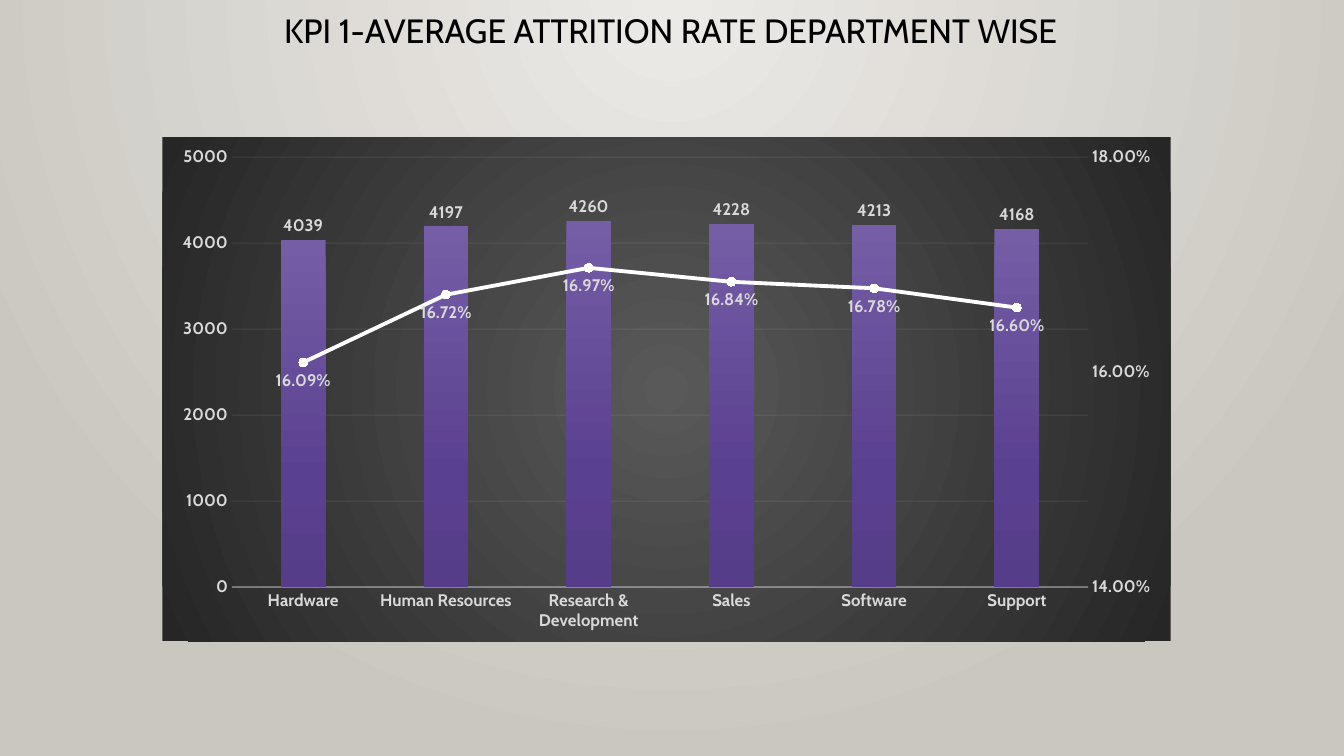
from copy import deepcopy
from dataclasses import dataclass
from pptx import Presentation
from pptx.chart.axis import ValueAxis
from pptx.chart.data import CategoryChartData
from pptx.dml.color import RGBColor
from pptx.enum.chart import XL_CHART_TYPE, XL_LABEL_POSITION, XL_MARKER_STYLE, XL_TICK_MARK
from pptx.enum.text import MSO_ANCHOR, MSO_AUTO_SIZE, PP_ALIGN
from pptx.oxml import parse_xml
from pptx.oxml.ns import nsdecls, qn
from pptx.util import Inches, Pt


@dataclass(frozen=True)
class Theme:
    face: str = "Cabin"
    ink: str = "000000"
    pale: str = "D9D9D9"
    rule: str = "F2F2F2"
    line: str = "FFFFFF"
    page: tuple = ((0, "ECEAE7"), (100, "CAC7C1"))
    panel: tuple = ((0, "595959"), (100, "262626"))
    bar: tuple = ((0, "755EA6"), (69, "5A4090"), (100, "563D89"))
    head: int = 24
    base: int = 10
    label: int = 12


THEME = Theme()
RADIAL = '<a:path path="circle"><a:fillToRect l="{}" t="{}" r="{}" b="{}"/></a:path>'
DOWN = '<a:lin ang="5400000" scaled="0"/>'
DEPTS = ("Hardware", "Human Resources", "Research & Development",
         "Sales", "Software", "Support")
STAFF = (4039, 4197, 4260, 4228, 4213, 4168)
RATES = (0.1609, 0.1672, 0.1697, 0.1684, 0.1678, 0.166)


def style(font, size, color, bold=False):
    font.name = THEME.face
    font.size = Pt(size)
    font.bold = bold
    font.color.rgb = RGBColor.from_string(color)


def write(frame, text, size=THEME.head, color=THEME.ink, align=PP_ALIGN.CENTER, space=0.9):
    para = frame.paragraphs[0]
    para.alignment = align
    para.line_spacing = space
    run = para.add_run()
    run.text = text
    style(run.font, size, color)


def radial(*sides):
    return RADIAL.format(*(side * 1000 for side in sides))


def blend(stops, way):
    marks = "".join(
        f'<a:gs pos="{pos * 1000}"><a:srgbClr val="{color}"/></a:gs>' for pos, color in stops)
    return parse_xml(
        f'<a:gradFill {nsdecls("a")} rotWithShape="1"><a:gsLst>{marks}</a:gsLst>{way}</a:gradFill>')


def swap(root, query, stops, way):
    solid = root.xpath(query)[0]
    solid.getparent().replace(solid, blend(stops, way))


def fade(root, query, alpha):
    color = root.xpath(query)[0]
    color.append(parse_xml(f'<a:alpha {nsdecls("a")} val="{alpha * 1000}"/>'))


def stroke(line, color, width):
    line.color.rgb = RGBColor.from_string(color)
    line.width = Pt(width)


def scale(axis, low, high, step):
    axis.minimum_scale, axis.maximum_scale, axis.major_unit = low, high, step


def tag(series, place, form):
    labels = series.data_labels
    labels.show_value = True
    labels.position = place
    labels.number_format = form
    labels.number_format_is_linked = False
    style(labels.font, THEME.label, THEME.pale, bold=True)


def format_axes(chart):
    cat, val = chart.category_axis, chart.value_axis
    for axis in (cat, val):
        axis.major_tick_mark = axis.minor_tick_mark = XL_TICK_MARK.NONE
        style(axis.tick_labels.font, THEME.label, THEME.pale, bold=True)
    stroke(cat.format.line, THEME.rule, 1)
    val.format.line.fill.background()
    val.has_major_gridlines = True
    stroke(val.major_gridlines.format.line, THEME.rule, 0.75)
    scale(val, 0, 5000, 1000)
    root = chart.element
    fade(root, ".//c:catAx/c:spPr//a:srgbClr", 54)
    fade(root, ".//c:majorGridlines//a:srgbClr", 10)


def split_rate(chart):
    area = chart.element.xpath(".//c:plotArea")[0]
    bars = area.find(qn("c:barChart"))
    rate = bars.findall(qn("c:ser"))[1]
    for flag in rate.findall(qn("c:invertIfNegative")):
        rate.remove(flag)
    plot = parse_xml(
        f'<c:lineChart {nsdecls("c")}><c:grouping val="standard"/><c:varyColors val="0"/>'
        '<c:marker val="1"/><c:axId val="501"/><c:axId val="502"/></c:lineChart>')
    plot.find(qn("c:varyColors")).addnext(rate)
    bars.addnext(plot)
    cat = deepcopy(area.find(qn("c:catAx")))
    val = deepcopy(area.find(qn("c:valAx")))
    area.find(qn("c:valAx")).addnext(val)
    val.addnext(cat)
    for axis, own, other in ((cat, "501", "502"), (val, "502", "501")):
        axis.find(qn("c:axId")).set("val", own)
        axis.find(qn("c:crossAx")).set("val", other)
    cat.find(qn("c:delete")).set("val", "1")
    val.find(qn("c:axPos")).set("val", "r")
    val.find(qn("c:crosses")).set("val", "max")
    right = ValueAxis(val)
    right.has_major_gridlines = False
    right.tick_labels.number_format = "0.00%"
    right.tick_labels.number_format_is_linked = False
    scale(right, 0.14, 0.18, 0.02)


def format_rate(rate):
    rate.smooth = False
    stroke(rate.format.line, THEME.line, 2.75)
    rate.marker.style = XL_MARKER_STYLE.CIRCLE
    rate.marker.size = 6
    rate.marker.format.fill.solid()
    rate.marker.format.fill.fore_color.rgb = RGBColor.from_string(THEME.line)
    stroke(rate.marker.format.line, THEME.line, 0.75)
    tag(rate, XL_LABEL_POSITION.BELOW, "0.00%")


def draw_chart(slide, box):
    data = CategoryChartData()
    data.categories = DEPTS
    data.add_series("Series 1", STAFF, "0")
    data.add_series("Series 2", RATES, "0.00%")
    chart = slide.shapes.add_chart(XL_CHART_TYPE.COLUMN_CLUSTERED, *box, data).chart
    chart.has_title = chart.has_legend = False
    style(chart.font, THEME.base, THEME.ink)
    panel = parse_xml(f'<c:spPr {nsdecls("c", "a")}><a:ln><a:noFill/></a:ln></c:spPr>')
    panel.insert(0, blend(THEME.panel, radial(50, 50, 50, 50)))
    chart.element.find(qn("c:chart")).addnext(panel)
    format_axes(chart)
    split_rate(chart)
    bars, line = chart.plots
    bars.gap_width, bars.overlap = 219, -27
    bars.vary_by_categories = False
    staff = bars.series[0]
    staff.format.fill.solid()
    staff.format.fill.fore_color.rgb = RGBColor.from_string(THEME.bar[0][1])
    swap(chart.element, ".//c:barChart/c:ser/c:spPr/a:solidFill", THEME.bar, DOWN)
    tag(staff, XL_LABEL_POSITION.OUTSIDE_END, "0")
    format_rate(line.series[0])


def draw_title(slide, box, text):
    title = slide.shapes.title
    title.left, title.top, title.width, title.height = box
    frame = title.text_frame
    frame.word_wrap = True
    frame.auto_size = MSO_AUTO_SIZE.NONE
    frame.vertical_anchor = MSO_ANCHOR.TOP
    write(frame, text)


def draw_page(slide):
    fill = slide.background.fill
    fill.solid()
    fill.fore_color.rgb = RGBColor.from_string(THEME.page[0][1])
    swap(slide.element, ".//p:bgPr/a:solidFill", THEME.page, radial(43, 0, 43, 100))


def inches(*sizes):
    return tuple(Inches(size) for size in sizes)


def main():
    deck = Presentation()
    deck.slide_width, deck.slide_height = inches(13.33, 7.5)
    slide = deck.slides.add_slide(deck.slide_layouts[5])
    draw_page(slide)
    draw_title(slide, inches(1.4, 0.09, 10.5, 0.65),
               "KPI 1-AVERAGE ATTRITION RATE DEPARTMENT WISE")
    draw_chart(slide, inches(1.61, 1.36, 10, 5))
    deck.save("out.pptx")


if __name__ == "__main__":
    main()
